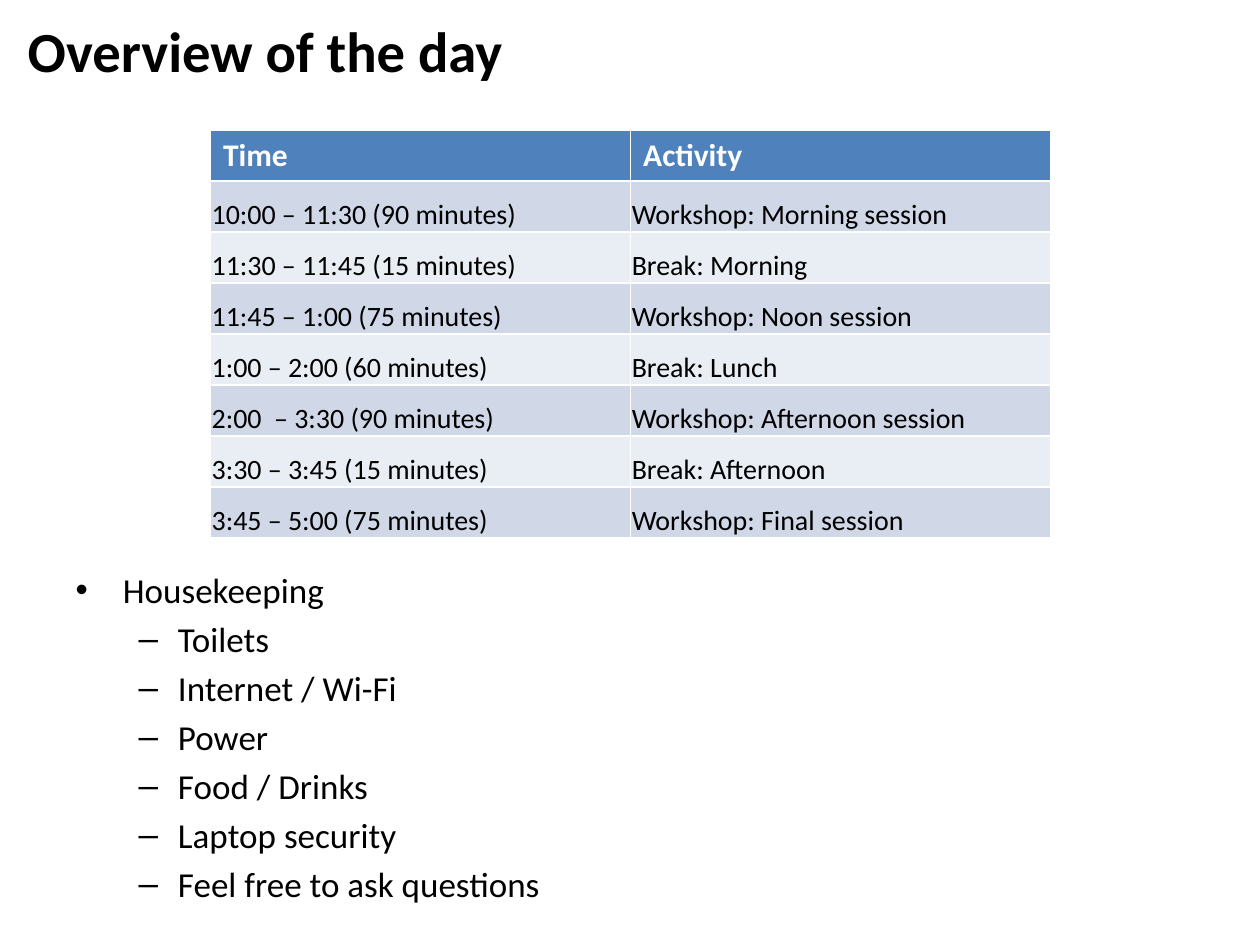
from dataclasses import dataclass

from pptx import Presentation
from pptx import util as u
from pptx.dml import color
from pptx.enum import text


@dataclass(frozen=True)
class Theme:
    font: str = "Calibri"
    ink: str = "000000"
    header_ink: str = "FFFFFF"
    header_fill: str = "4F81BD"
    bands: tuple = ("D0D8E8", "E9EDF4")
    title_size: float = 32.4
    list_size: float = 20
    header_size: float = 18
    cell_size: float = 16


THEME = Theme()
HEADINGS = ("Time", "Activity")
SCHEDULE = [
    ("10:00 – 11:30 (90 minutes)", "Workshop: Morning session"),
    ("11:30 – 11:45 (15 minutes)", "Break: Morning"),
    ("11:45 – 1:00 (75 minutes)", "Workshop: Noon session"),
    ("1:00 – 2:00 (60 minutes)", "Break: Lunch"),
    ("2:00  – 3:30 (90 minutes)", "Workshop: Afternoon session"),
    ("3:30 – 3:45 (15 minutes)", "Break: Afternoon"),
    ("3:45 – 5:00 (75 minutes)", "Workshop: Final session"),
]
HOUSEKEEPING = [
    "Toilets",
    "Internet / Wi-Fi",
    "Power",
    "Food / Drinks",
    "Laptop security",
    "Feel free to ask questions",
]


def inches(*lengths):
    return [u.Inches(length) for length in lengths]


def place(shape, box):
    shape.left, shape.top, shape.width, shape.height = box


def format_runs(frame, size, ink, bold=False):
    for para in frame.paragraphs:
        for span in para.runs:
            span.font.name = THEME.font
            span.font.size = u.Pt(size)
            span.font.bold = bold
            span.font.color.rgb = color.RGBColor.from_string(ink)


def add_title(page, box, wording):
    title = page.shapes.title
    place(title, box)
    frame = title.text_frame
    frame.text = wording
    frame.auto_size = text.MSO_AUTO_SIZE.NONE
    frame.vertical_anchor = text.MSO_ANCHOR.MIDDLE
    frame.paragraphs[0].alignment = text.PP_ALIGN.LEFT
    format_runs(frame, THEME.title_size, THEME.ink, bold=True)


def add_list(page, box, heading, items):
    body = page.placeholders[1]
    place(body, box)
    frame = body.text_frame
    frame.text = heading
    frame.auto_size = text.MSO_AUTO_SIZE.NONE
    for item in items:
        para = frame.add_paragraph()
        para.text = item
        para.level = 1
    format_runs(frame, THEME.list_size, THEME.ink)


def fill_cell(cell, wording, fill):
    cell.text = wording
    cell.fill.solid()
    cell.fill.fore_color.rgb = color.RGBColor.from_string(fill)


def add_schedule(page, box, headings, entries):
    """Place the timetable; its white rules come from the default table style."""
    table = page.shapes.add_table(len(entries) + 1, len(headings), *box).table
    for column, heading in enumerate(headings):
        cell = table.cell(0, column)
        fill_cell(cell, heading, THEME.header_fill)
        format_runs(cell.text_frame, THEME.header_size, THEME.header_ink, bold=True)
    for row, entry in enumerate(entries, start=1):
        band = THEME.bands[(row - 1) % len(THEME.bands)]
        for column, wording in enumerate(entry):
            cell = table.cell(row, column)
            fill_cell(cell, wording, band)
            cell.vertical_anchor = text.MSO_ANCHOR.BOTTOM
            cell.margin_left = cell.margin_top = cell.margin_right = u.Inches(0.01)
            cell.margin_bottom = 0
            format_runs(cell.text_frame, THEME.cell_size, THEME.ink)


def main():
    deck = Presentation()
    deck.slide_width, deck.slide_height = inches(10, 7.5)
    page = deck.slides.add_slide(deck.slide_layouts[1])
    add_title(page, inches(0.12, 0.09, 9.75, 0.61), "Overview of the day")
    add_list(page, inches(0.5, 4.46, 9, 2.95), "Housekeeping", HOUSEKEEPING)
    add_schedule(page, inches(1.67, 1.03, 6.67, 3.24), HEADINGS, SCHEDULE)
    deck.save("out.pptx")


if __name__ == "__main__":
    main()
